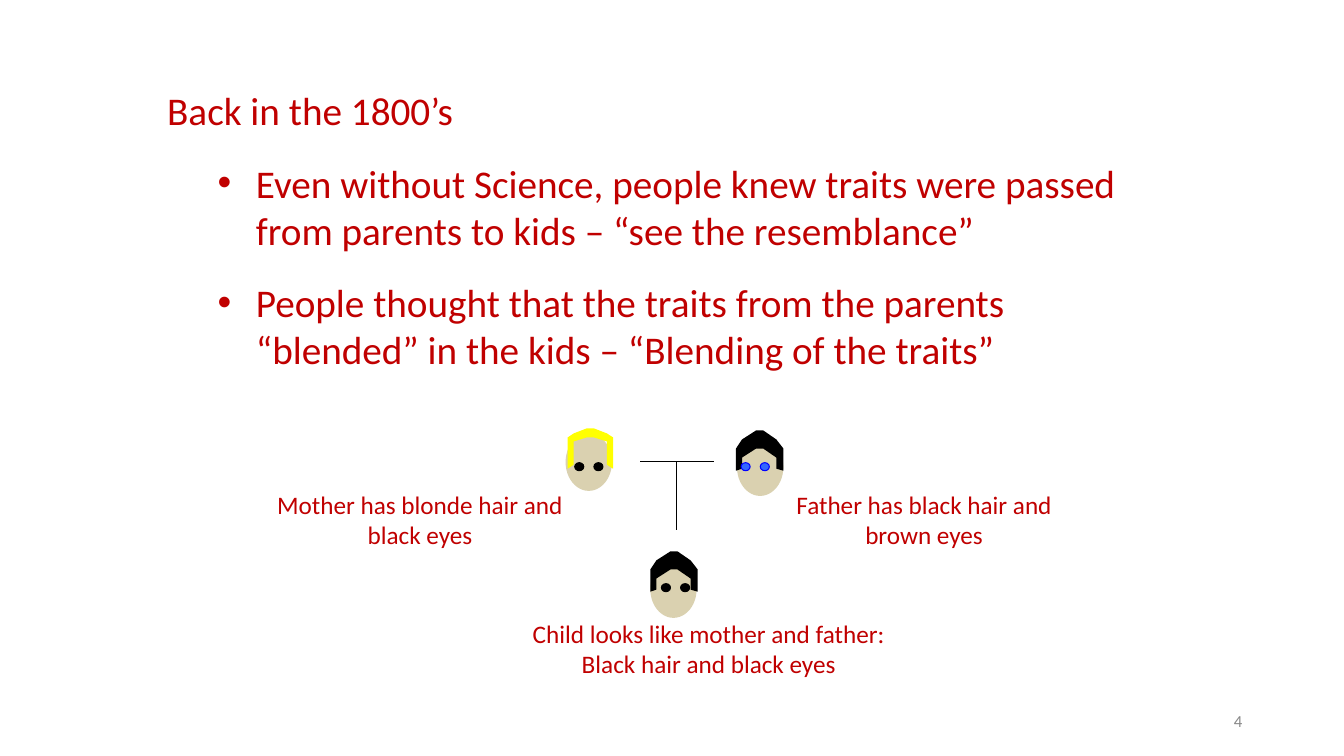
"""Build the slide on blended inheritance with a small family tree."""
from dataclasses import dataclass

from lxml import etree
from pptx import Presentation
from pptx.dml.color import RGBColor
from pptx.enum.shapes import MSO_CONNECTOR as Line, MSO_SHAPE as Shape
from pptx.enum.text import MSO_ANCHOR as Anchor, PP_ALIGN as Align
from pptx.oxml.ns import qn
from pptx.util import Inches, Pt

HEADING = "Back in the 1800’s"
POINTS = [
    "Even without Science, people knew traits were passed from parents to kids – “see the resemblance”",
    "People thought that the traits from the parents “blended” in the kids – “Blending of the traits”",
]
MOTHER_LABEL = "Mother has blonde hair and black eyes"
FATHER_LABEL = "Father has black hair and brown eyes"
CHILD_LABEL = ["Child looks like mother and father:", "Black hair and black eyes"]
PAGE_NUMBER = "4"

LONG_HAIR = [(0.39, 0.13), (0.26, 0.09), (0.19, 0.09), (0.06, 0.13), (0.06, 0.36),
             (0, 0.4), (0, 0.09), (0.06, 0.05), (0.19, 0), (0.26, 0),
             (0.39, 0.05), (0.45, 0.09), (0.45, 0.4), (0.39, 0.36)]
SHORT_HAIR = [(0.4, 0.27), (0.27, 0.18), (0.2, 0.18), (0.06, 0.27), (0.06, 0.38),
              (0, 0.4), (0, 0.18), (0.06, 0.09), (0.2, 0), (0.27, 0),
              (0.4, 0.09), (0.47, 0.18), (0.47, 0.4), (0.4, 0.38)]
HEAD_SIZE = (0.46, 0.57)
EYE_SIZE = (0.09, 0.08)
EYE_GAP = 0.19


@dataclass(frozen=True)
class Theme:
    font: str = "Calibri"
    red: str = "C00000"
    gray: str = "888888"
    skin: str = "DAD1B0"
    blonde: str = "FFFF00"
    black: str = "000000"
    blue: str = "3366FF"
    blue_edge: str = "0000FF"
    body: int = 28
    label: int = 18
    small: int = 12


THEME = Theme()

FACES = [
    dict(head=(5.61, 4.3), hair=(5.63, 4.25), outline=LONG_HAIR, hair_color=THEME.blonde,
         eye=(5.7, 4.59), eye_color=THEME.black, eye_edge=THEME.black),
    dict(head=(7.31, 4.35), hair=(7.3, 4.27), outline=SHORT_HAIR, hair_color=THEME.black,
         eye=(7.35, 4.59), eye_color=THEME.blue, eye_edge=THEME.blue_edge),
    dict(head=(6.45, 5.56), hair=(6.45, 5.47), outline=SHORT_HAIR, hair_color=THEME.black,
         eye=(6.56, 5.79), eye_color=THEME.black, eye_edge=THEME.black),
]
FAMILY_LINES = [((6.35, 4.58), (7.08, 4.58)), ((6.71, 4.58), (6.71, 5.26))]


def color(value):
    return RGBColor.from_string(value)


def add_text(page, place, lines, size=THEME.label, ink=THEME.red, align=Align.CENTER,
             anchor=Anchor.TOP, indents=None, bullets=(), space=0):
    box = page.shapes.add_textbox(*map(Inches, place))
    frame = box.text_frame
    frame.word_wrap = True
    frame.vertical_anchor = anchor
    for index, line in enumerate(lines):
        para = frame.add_paragraph() if index else frame.paragraphs[0]
        para.alignment = align
        if index:
            para.space_before = Pt(space)
        left, hanging = indents[index] if indents else (0, 0)
        if left:
            para.level = 1
            props = para._p.get_or_add_pPr()
            props.set("marL", str(Inches(left)))
            props.set("indent", str(Inches(hanging)))
        if index in bullets:
            props = para._p.get_or_add_pPr()
            etree.SubElement(props, qn("a:buFont")).set("typeface", "Arial")
            etree.SubElement(props, qn("a:buChar")).set("char", "•")
        span = para.add_run()
        span.text = line
        span.font.name = THEME.font
        span.font.size = Pt(size)
        span.font.color.rgb = color(ink)


def paint(shape, fill, edge=None):
    shape.shadow.inherit = False
    shape.fill.solid()
    shape.fill.fore_color.rgb = color(fill)
    if edge:
        shape.line.color.rgb = color(edge)
        shape.line.width = Pt(0.75)
    else:
        shape.line.fill.background()


def add_oval(page, place, size, fill, edge=None):
    oval = page.shapes.add_shape(Shape.OVAL, *map(Inches, place + size))
    paint(oval, fill, edge)


def add_face(page, head, hair, outline, hair_color, eye, eye_color, eye_edge):
    add_oval(page, head, HEAD_SIZE, THEME.skin)
    points = [(Inches(hair[0] + x), Inches(hair[1] + y)) for x, y in outline]
    builder = page.shapes.build_freeform(*points[0])
    builder.add_line_segments(points[1:], close=True)
    paint(builder.convert_to_shape(), hair_color)
    for step in range(2):
        add_oval(page, (eye[0] + step * EYE_GAP, eye[1]), EYE_SIZE, eye_color, eye_edge)


def add_line(page, start, end):
    line = page.shapes.add_connector(Line.STRAIGHT, *map(Inches, start + end))
    line.line.color.rgb = color(THEME.black)
    line.line.width = Pt(1)
    etree.SubElement(line._element.spPr, qn("a:effectLst"))


def main():
    deck = Presentation()
    deck.slide_width, deck.slide_height = Inches(13.33), Inches(7.5)
    page = deck.slides.add_slide(deck.slide_layouts[6])
    add_text(page, (9.42, 6.95, 3, 0.4), [PAGE_NUMBER], size=THEME.small, ink=THEME.gray,
             align=Align.RIGHT, anchor=Anchor.MIDDLE)
    add_text(page, (1.56, 0.81, 10.08, 2.96), [HEADING, *POINTS], size=THEME.body,
             align=Align.LEFT, indents=[(0, 0), (0.88, -0.38), (0.88, -0.38)],
             bullets=(1, 2), space=18)
    add_text(page, (2.54, 4.8, 3.25, 0.71), [MOTHER_LABEL])
    add_text(page, (7.54, 4.8, 3.25, 0.71), [FATHER_LABEL])
    add_text(page, (4.66, 6.08, 4.24, 0.71), CHILD_LABEL, indents=[(0.5, 0)] * 2)
    for start, end in FAMILY_LINES:
        add_line(page, start, end)
    for face in FACES:
        add_face(page, **face)
    deck.save("out.pptx")


if __name__ == "__main__":
    main()
